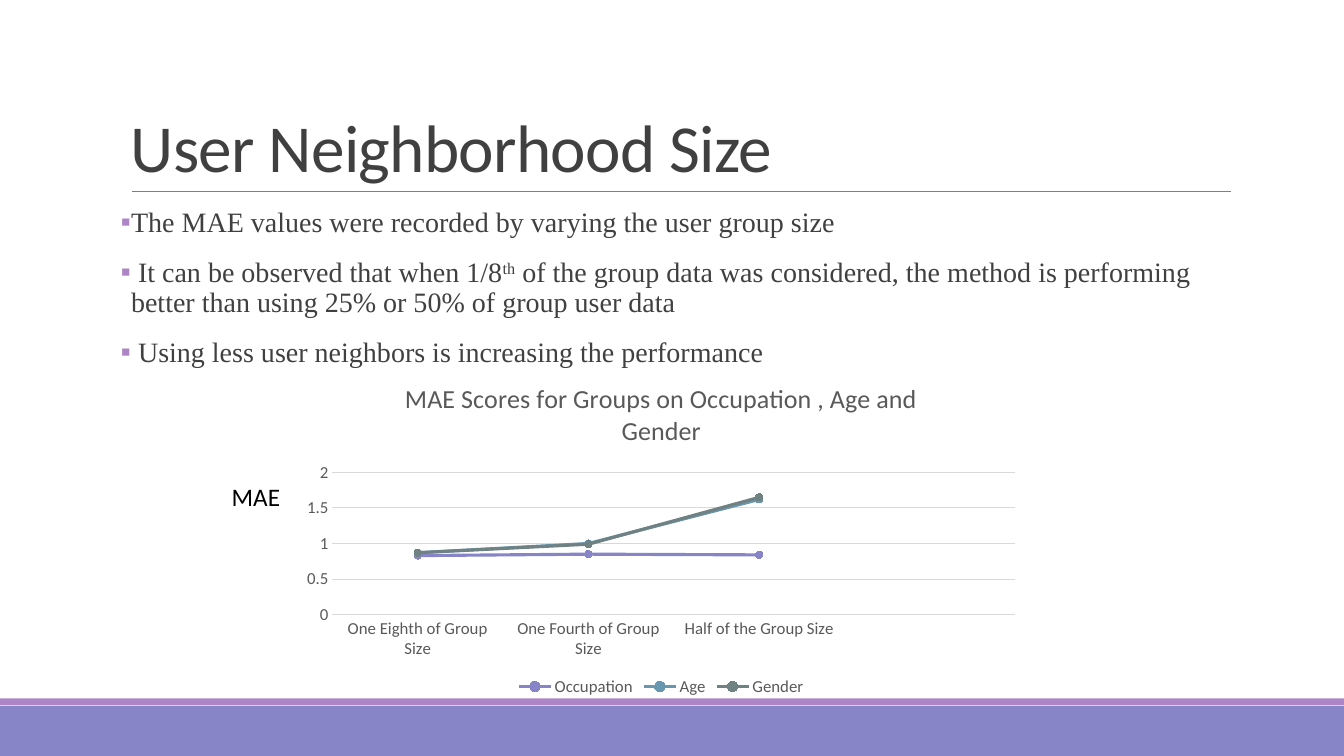
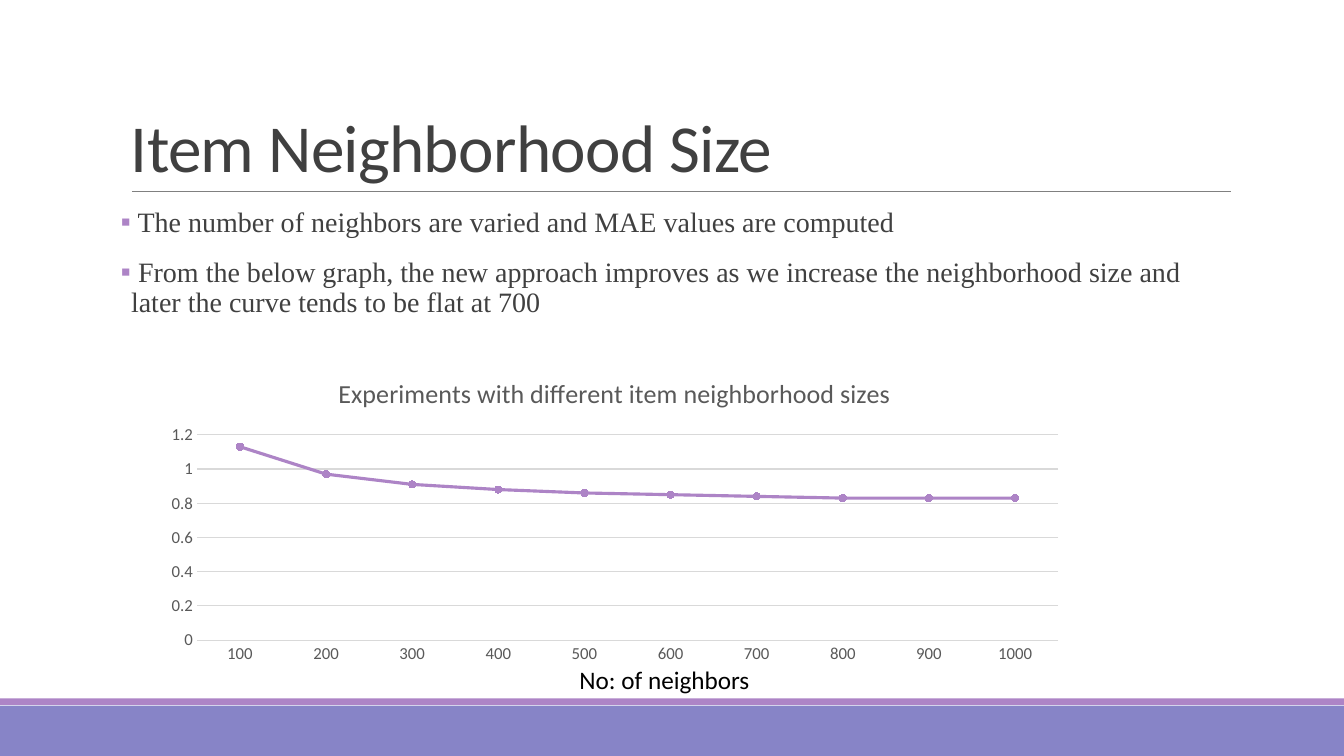
import pptx
import pptx.util
import pptx.chart.data
import pptx.dml.color
import pptx.enum.chart
import pptx.enum.shapes
import pptx.enum.text
import pptx.oxml.ns
import lxml.etree

Pt = pptx.util.Pt
qn = pptx.oxml.ns.qn


class Theme:
    violet = pptx.dml.color.RGBColor.from_string("8784C7")
    orchid = pptx.dml.color.RGBColor.from_string("AD84C6")
    blue = pptx.dml.color.RGBColor.from_string("6997AF")
    slate = pptx.dml.color.RGBColor.from_string("6F8183")
    ink = pptx.dml.color.RGBColor.from_string("404040")
    black = pptx.dml.color.RGBColor.from_string("000000")
    chart_text = pptx.dml.color.RGBColor.from_string("595959")
    rule = pptx.dml.color.RGBColor.from_string("808080")
    grid = pptx.dml.color.RGBColor.from_string("D9D9D9")
    sans = "Calibri"
    serif = "Times New Roman"
    title_size = Pt(48)
    body_size = Pt(20)
    label_size = Pt(18)
    chart_title_size = Pt(18.6)
    axis_size = Pt(12)


prs = pptx.Presentation()
prs.slide_width = pptx.util.Inches(13.333)
prs.slide_height = pptx.util.Inches(7.5)
col = prs.slide_width / 100
row = prs.slide_height / 100


def place(x, y, w, h):
    return round(x * col), round(y * row), round(w * col), round(h * row)


def set_font(font, name, size, color):
    font.name = name
    font.size = size
    font.color.rgb = color


slides = [
    {
        "title": "User Neighborhood Size",
        "bullets": [
            ["The MAE values were recorded by varying the user group size"],
            [" It can be observed that when 1/8", "th",
             " of the group data was considered, the method is performing better than using 25% or 50% of group user data"],
            [" Using less user neighbors is increasing the performance"],
        ],
        "chart_title": "MAE Scores for Groups on Occupation , Age and Gender",
        "chart_box": (21.75, 48, 54.9, 44.67),
        "categories": ["One Eighth of Group Size", "One Fourth of Group Size", "Half of the Group Size", ""],
        "series": [
            ("Occupation", [0.83, 0.85, 0.84, None], Theme.violet),
            ("Age", [0.87, 1, 1.62, None], Theme.blue),
            ("Gender", [0.87, 0.99, 1.65, None], Theme.slate),
        ],
        "scale": (2, 0.5),
        "label": "MAE",
        "label_box": (16.5, 63.07, 5.25, 5.33),
    },
    {
        "title": "Item Neighborhood Size",
        "bullets": [
            [" The number of neighbors are varied and MAE values are computed"],
            [" From the below graph, the new approach improves as we increase the neighborhood size and later the curve tends to be flat at 700"],
        ],
        "chart_title": "Experiments with different item neighborhood sizes",
        "chart_box": (11.4, 47.47, 68.7, 41.2),
        "categories": [str(n) for n in range(100, 1001, 100)],
        "series": [
            ("Series 1", [1.13, 0.97, 0.91, 0.88, 0.86, 0.85, 0.84, 0.83, 0.83, 0.83], Theme.orchid),
        ],
        "scale": (1.2, 0.2),
        "label": "No: of neighbors",
        "label_box": (42.38, 87.2, 15.75, 5.33),
    },
]

for content in slides:
    s = prs.slides.add_slide(prs.slide_layouts[6])

    for top, height, color in ((93.33, 6.67, Theme.violet), (92.4, 0.85, Theme.orchid)):
        sp = s.shapes.add_shape(pptx.enum.shapes.MSO_SHAPE.RECTANGLE, *place(0, top, 100, height))
        sp.shadow.inherit = False
        sp.fill.solid()
        sp.fill.fore_color.rgb = color
        sp.line.fill.background()

    x1, y1, x2, y2 = place(9.82, 25.33, 91.58, 25.33)
    line = s.shapes.add_connector(pptx.enum.shapes.MSO_CONNECTOR.STRAIGHT, x1, y1, x2, y2)
    line.line.color.rgb = Theme.rule
    line.line.width = Pt(0.5)
    lxml.etree.SubElement(line._element.spPr, qn("a:effectLst"))

    tf = s.shapes.add_textbox(*place(9, 4.13, 82.5, 21.2)).text_frame
    tf.word_wrap = True
    tf.vertical_anchor = pptx.enum.text.MSO_ANCHOR.BOTTOM
    p = tf.paragraphs[0]
    p.text = content["title"]
    p.line_spacing = 0.85
    r = p.runs[0]
    set_font(r.font, Theme.sans, Theme.title_size, Theme.ink)
    r.font._element.set("spc", "-50")

    tf = s.shapes.add_textbox(*place(9, 26.93, 82.5, 58.67)).text_frame
    tf.word_wrap = True
    tf.margin_left = tf.margin_right = 0
    for i, parts in enumerate(content["bullets"]):
        p = tf.add_paragraph() if i else tf.paragraphs[0]
        p.line_spacing = 0.9
        p.space_before = Pt(12)
        p.space_after = Pt(2)
        pPr = p._p.get_or_add_pPr()
        pPr.set("marL", "91440")
        pPr.set("indent", "-91440")
        bullet_color = lxml.etree.SubElement(pPr, qn("a:buClr"))
        lxml.etree.SubElement(bullet_color, qn("a:srgbClr"), val=str(Theme.orchid))
        lxml.etree.SubElement(pPr, qn("a:buFont"), typeface=Theme.sans)
        lxml.etree.SubElement(pPr, qn("a:buChar"), char="▪")
        for part in parts:
            r = p.add_run()
            r.text = part
            set_font(r.font, Theme.serif, Theme.body_size, Theme.ink)
            if part == "th":
                r.font._element.set("baseline", "30000")

    data = pptx.chart.data.CategoryChartData()
    data.categories = content["categories"]
    for name, values, color in content["series"]:
        data.add_series(name, values)
    chart = s.shapes.add_chart(
        pptx.enum.chart.XL_CHART_TYPE.LINE_MARKERS, *place(*content["chart_box"]), data
    ).chart
    set_font(chart.font, Theme.sans, Theme.axis_size, Theme.chart_text)
    chart.has_title = True
    chart.chart_title.include_in_layout = False
    p = chart.chart_title.text_frame.paragraphs[0]
    p.text = content["chart_title"]
    set_font(p.runs[0].font, Theme.sans, Theme.chart_title_size, Theme.chart_text)
    p.runs[0].font.bold = False

    chart.has_legend = len(content["series"]) > 1
    if chart.has_legend:
        chart.legend.position = pptx.enum.chart.XL_LEGEND_POSITION.BOTTOM
        chart.legend.include_in_layout = False
        set_font(chart.legend.font, Theme.sans, Theme.axis_size, Theme.chart_text)

    for axis in (chart.category_axis, chart.value_axis):
        axis.major_tick_mark = axis.minor_tick_mark = pptx.enum.chart.XL_TICK_MARK.NONE
        set_font(axis.tick_labels.font, Theme.sans, Theme.axis_size, Theme.chart_text)
    chart.value_axis.minimum_scale = 0
    chart.value_axis.maximum_scale, chart.value_axis.major_unit = content["scale"]
    chart.value_axis.format.line.fill.background()
    for edge in (chart.category_axis.format.line, chart.value_axis.major_gridlines.format.line):
        edge.color.rgb = Theme.grid
        edge.width = Pt(0.75)

    plot = chart.plots[0]
    plot.vary_by_categories = False
    for series, (name, values, color) in zip(plot.series, content["series"]):
        series.smooth = False
        series.format.line.color.rgb = color
        series.format.line.width = Pt(2.25)
        marker = series.marker
        marker.style = pptx.enum.chart.XL_MARKER_STYLE.CIRCLE
        marker.size = 5
        marker.format.fill.solid()
        marker.format.fill.fore_color.rgb = color
        marker.format.line.color.rgb = color

    tf = s.shapes.add_textbox(*place(*content["label_box"])).text_frame
    tf.word_wrap = False
    tf.text = content["label"]
    set_font(tf.paragraphs[0].runs[0].font, Theme.sans, Theme.label_size, Theme.black)

prs.save("out.pptx")
